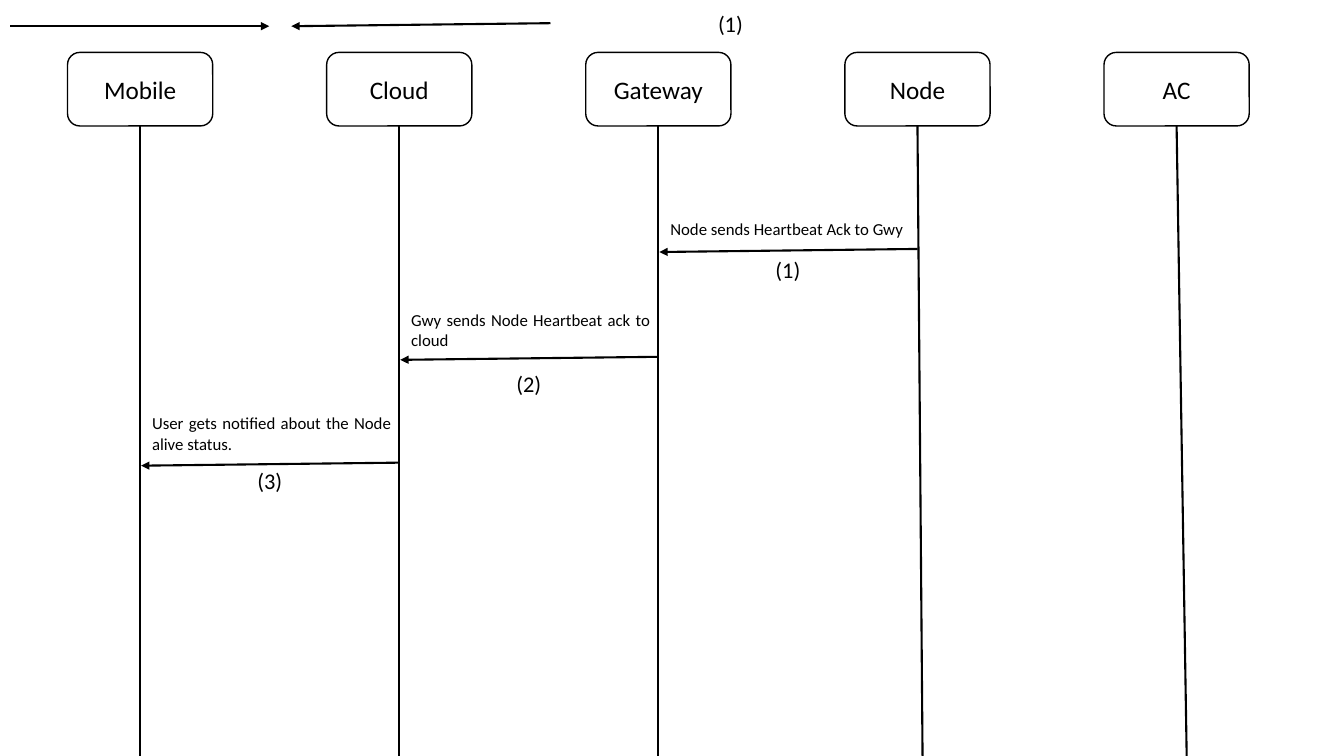
from lxml import etree
from pptx import Presentation
from pptx.dml.color import RGBColor
from pptx.enum.shapes import MSO_CONNECTOR, MSO_SHAPE
from pptx.enum.text import MSO_ANCHOR, MSO_AUTO_SIZE, PP_ALIGN
from pptx.oxml.ns import qn
from pptx.util import Inches, Pt

STRAIGHT = MSO_CONNECTOR.STRAIGHT
ROUNDED = MSO_SHAPE.ROUNDED_RECTANGLE
MIDDLE = MSO_ANCHOR.MIDDLE
GROW = MSO_AUTO_SIZE.SHAPE_TO_FIT_TEXT
CENTER, JUSTIFY = PP_ALIGN.CENTER, PP_ALIGN.JUSTIFY

COLORS = {"ink": "000000", "paper": "FFFFFF"}
INK = RGBColor.from_string(COLORS["ink"])
PAPER = RGBColor.from_string(COLORS["paper"])
WIDTH, HEIGHT = 13.33, 7.5
LEFT, PITCH = 0.67, 2.57
BOX_TOP, BOX_WIDTH, BOX_HEIGHT = 0.52, 1.44, 0.73
SLANT = 0.03
BOTTOM = 2

presentation = Presentation()
presentation.slide_width = Inches(WIDTH)
presentation.slide_height = Inches(HEIGHT)
slide = presentation.slides.add_slide(presentation.slide_layouts[6])


def write(shape, text, size, align):
    shape.text_frame.word_wrap = True
    paragraph = shape.text_frame.paragraphs[0]
    paragraph.text = text
    paragraph.alignment = align
    font_format = {"name": "Calibri", "size": Pt(size)}
    for name, value in font_format.items():
        setattr(paragraph.font, name, value)
    paragraph.font.color.rgb = INK


def draw_line(start_x, start_y, end_x, end_y, arrow=False):
    connector = slide.shapes.add_connector(
        STRAIGHT, Inches(start_x), Inches(start_y), Inches(end_x), Inches(end_y))
    connector.line.color.rgb = INK
    connector.line.width = Pt(1.5)
    if arrow:
        line = connector.line._get_or_add_ln()
        etree.SubElement(line, qn("a:tailEnd"), type="triangle")
    etree.SubElement(connector._element.spPr, qn("a:effectLst"))
    return connector


# Participants and their lifelines; the last two lean slightly to the right
participants = [("Mobile", 0), ("Cloud", 0), ("Gateway", 0), ("Node", 0.05), ("AC", 0.1)]
centers = [LEFT + BOX_WIDTH / 2 + PITCH * column for column in range(len(participants))]
for center, (name, lean) in zip(centers, participants):
    box = slide.shapes.add_shape(
        ROUNDED, Inches(center - BOX_WIDTH / 2), Inches(BOX_TOP),
        Inches(BOX_WIDTH), Inches(BOX_HEIGHT))
    box.shadow.inherit = False
    box.fill.solid()
    box.fill.fore_color.rgb = PAPER
    box.line.color.rgb = INK
    box.line.width = Pt(1)
    box.text_frame.vertical_anchor = MIDDLE
    write(box, name, 18, CENTER)
    lifeline = draw_line(center, BOX_TOP + BOX_HEIGHT, center + lean, HEIGHT)
    lifeline.begin_connect(box, BOTTOM)

# Arrow key above the participants
draw_line(0.1, 0.26, 0.1 + PITCH, 0.26, arrow=True)
draw_line(2.89 + PITCH, 0.23, 2.89, 0.23 + SLANT, arrow=True)
labels = [("(1)", 5.96, 0.05, 0.37, 16, CENTER)]

# Messages: receiving column, arrow top, caption, caption top and height, number top
messages = [
    (2, 2.47, "Node sends Heartbeat Ack to Gwy", 2.12, 0.3, 2.49),
    (1, 3.54, "Gwy sends Node Heartbeat ack to cloud", 3.02, 0.5, 3.62),
    (0, 4.59, "User gets notified about the Node alive status.", 4.05, 0.5, 4.59),
]
for number, message in enumerate(messages, start=1):
    column, arrow_top, caption, caption_top, caption_height, number_top = message
    receiver = centers[column]
    draw_line(receiver + PITCH, arrow_top, receiver + 0.01, arrow_top + SLANT, arrow=True)
    labels.append((caption, receiver + 0.02, caption_top, caption_height, 12, JUSTIFY))
    labels.append((f"({number})", receiver, number_top, 0.37, 16, CENTER))

for text, left, top, height, size, align in labels:
    label = slide.shapes.add_textbox(
        Inches(left), Inches(top), Inches(PITCH), Inches(height))
    label.text_frame.auto_size = GROW
    write(label, text, size, align)

presentation.save("out.pptx")
